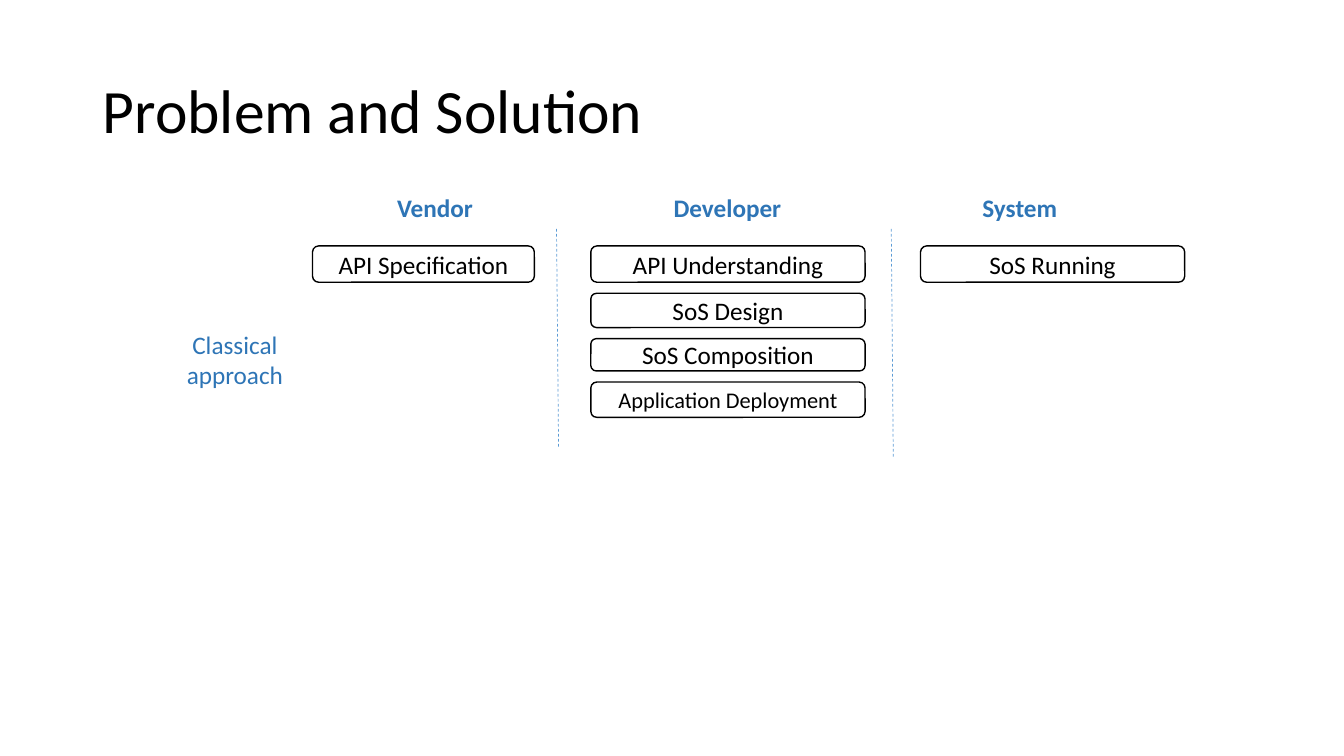
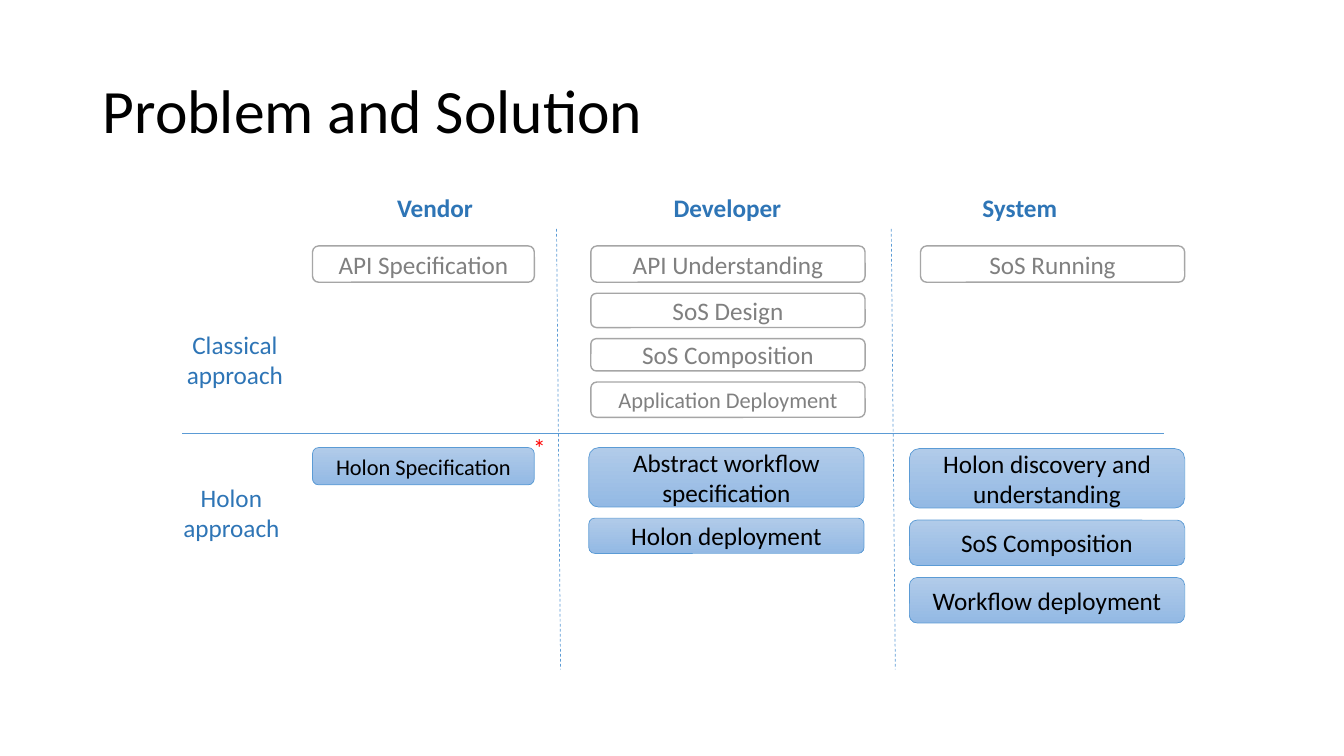
from typing import NamedTuple

from pptx import Presentation
from pptx.dml.color import RGBColor
from pptx.enum.dml import MSO_LINE
from pptx.enum.shapes import MSO_CONNECTOR, MSO_SHAPE
from pptx.enum.text import MSO_ANCHOR, MSO_AUTO_SIZE, PP_ALIGN
from pptx.oxml.ns import qn
from pptx.shapes.autoshape import Shape
from pptx.slide import Slide
from pptx.util import Emu, Pt

FONT = "Calibri"
BLACK, WHITE, RED = "000000", "FFFFFF", "FF0000"
LABEL_BLUE, LINE_BLUE = "2E75B6", "5B9BD5"
GREY_TEXT, GREY_LINE = "808080", "A6A6A6"
GRADIENT = ("B1CBE9", "93B9E4")


class Step(NamedTuple):
    text: str
    height: int
    size: int = 18


class Column(NamedTuple):
    left: int
    top: int
    width: int
    gap: int
    steps: list[Step]


class Style(NamedTuple):
    fills: tuple[str, ...]
    line: str
    line_width: float
    text: str


class Label(NamedTuple):
    text: str
    left: int
    top: int
    width: int
    height: int
    bold: bool = False


ACTIVE = Style((WHITE,), BLACK, 1, BLACK)
FADED = Style((WHITE,), GREY_LINE, 1, GREY_TEXT)
HOLON = Style(GRADIENT, LINE_BLUE, 0.5, BLACK)

HEADERS = [Label(text, 333 + 290 * i, 188, 197, 36, True)
           for i, text in enumerate(("Vendor", "Developer", "System"))]
CLASSICAL_LABEL = Label("Classical approach", 156, 330, 154, 53)
HOLON_LABEL = Label("Holon approach", 149, 482, 161, 53)

CLASSICAL_COLUMNS = [
    Column(310, 244, 220, 11, [Step("API Specification", 36)]),
    Column(586, 244, 272, 11, [
        Step("API Understanding", 36),
        Step("SoS Design", 34),
        Step("SoS Composition", 32),
        Step("Application Deployment", 35, 16),
    ]),
    Column(913, 244, 262, 11, [Step("SoS Running", 36)]),
]
HOLON_COLUMNS = [
    Column(310, 444, 220, 11, [Step("Holon Specification", 37, 16)]),
    Column(584, 444, 273, 11, [
        Step("Abstract workflow specification", 59),
        Step("Holon deployment", 35),
    ]),
    Column(902, 445, 273, 12, [
        Step("Holon discovery and understanding", 59),
        Step("SoS Composition", 45),
        Step("Workflow deployment", 45),
    ]),
]


def px(n: int) -> Emu:
    """Convert px to EMU at 100 px to the inch."""
    return Emu(n * 9144)


def rgb(value: str) -> RGBColor:
    return RGBColor.from_string(value)


def add_text(shape: Shape, text: str, size: int, color: str,
             align: PP_ALIGN, bold: bool = False) -> None:
    p = shape.text_frame.paragraphs[0]
    p.alignment = align
    r = p.add_run()
    r.text = text
    r.font.name = FONT
    r.font.size = Pt(size)
    r.font.bold = bold
    r.font.color.rgb = rgb(color)


def add_round_rect(s: Slide, left: int, top: int, width: int, height: int) -> Shape:
    sp = s.shapes.add_shape(MSO_SHAPE.ROUNDED_RECTANGLE,
                            px(left), px(top), px(width), px(height))
    sp.shadow.inherit = False
    sp.text_frame.word_wrap = True
    sp.text_frame.vertical_anchor = MSO_ANCHOR.MIDDLE
    return sp


def add_label(s: Slide, label: Label) -> None:
    sp = add_round_rect(s, label.left, label.top, label.width, label.height)
    sp.fill.background()
    sp.line.fill.background()
    add_text(sp, label.text, 18, LABEL_BLUE, PP_ALIGN.CENTER, label.bold)


def add_column(s: Slide, column: Column, style: Style) -> None:
    top = column.top
    for step in column.steps:
        sp = add_round_rect(s, column.left, top, column.width, step.height)
        if len(style.fills) == 1:
            sp.fill.solid()
            sp.fill.fore_color.rgb = rgb(style.fills[0])
        else:
            sp.fill.gradient()
            sp.fill.gradient_angle = 270
            for stop, color in zip(sp.fill.gradient_stops, style.fills):
                stop.color.rgb = rgb(color)
        sp.line.color.rgb = rgb(style.line)
        sp.line.width = Pt(style.line_width)
        add_text(sp, step.text, step.size, style.text, PP_ALIGN.CENTER)
        top += step.height + column.gap


def add_line(s: Slide, x1: int, y1: int, x2: int, y2: int, dashed: bool = False) -> None:
    line = s.shapes.add_connector(MSO_CONNECTOR.STRAIGHT, px(x1), px(y1), px(x2), px(y2))
    line.line.color.rgb = rgb(LINE_BLUE)
    line.line.width = Pt(0.5)
    if dashed:
        line.line.dash_style = MSO_LINE.DASH
    sp_pr = line._element.spPr
    sp_pr.append(sp_pr.makeelement(qn("a:effectLst"), {}))


def add_approach_slide(prs: Presentation, classical: Style,
                       divider_bottoms: tuple[int, int], slant: int) -> Slide:
    """Add the title, headers, dividers and classical row shared by the slides."""
    s = prs.slides.add_slide(prs.slide_layouts[5])
    title = s.shapes.title
    title.left, title.top, title.width, title.height = px(92), px(40), px(1150), px(145)
    title.text_frame.vertical_anchor = MSO_ANCHOR.MIDDLE
    title.text_frame.paragraphs[0].line_spacing = 0.9
    add_text(title, "Problem and Solution", 44, BLACK, PP_ALIGN.LEFT)

    for column in CLASSICAL_COLUMNS:
        add_column(s, column, classical)
    for x, bottom in zip((552, 884), divider_bottoms):
        add_line(s, x, 227, x + slant, bottom, dashed=True)
    for label in (*HEADERS, CLASSICAL_LABEL):
        add_label(s, label)
    return s


def add_holon_row(s: Slide) -> None:
    add_line(s, 181, 430, 1154, 430)
    add_label(s, HOLON_LABEL)
    for column in HOLON_COLUMNS:
        add_column(s, column, HOLON)
    star = s.shapes.add_textbox(px(519), px(424), px(33), px(40))
    star.text_frame.word_wrap = False
    star.text_frame.auto_size = MSO_AUTO_SIZE.SHAPE_TO_FIT_TEXT
    add_text(star, "*", 18, RED, PP_ALIGN.LEFT)


def main() -> None:
    prs = Presentation()
    prs.slide_width, prs.slide_height = px(1333), px(750)
    add_approach_slide(prs, ACTIVE, (443, 455), 2)
    add_holon_row(add_approach_slide(prs, FADED, (664, 664), 4))
    prs.save("out.pptx")


if __name__ == "__main__":
    main()
